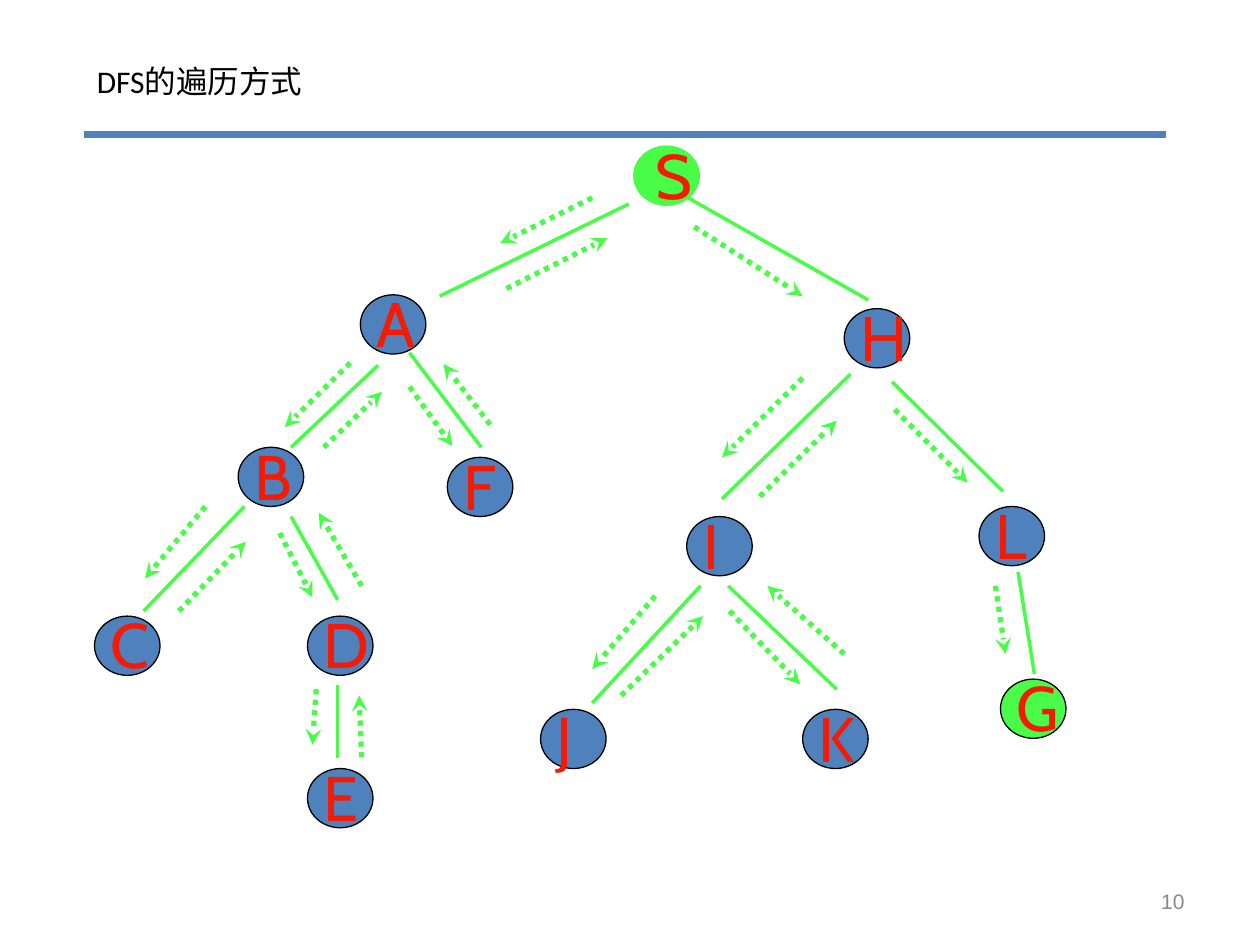
from typing import NamedTuple, Optional

from lxml import etree
from pptx import Presentation
from pptx import util as u
from pptx.dml.color import RGBColor
from pptx.enum import dml, shapes, text
from pptx.oxml import ns

# The slide is a grid of 100 columns by 75 rows
COLUMNS, ROWS = 100, 75
CELL = u.Inches(0.1)
NODE_WIDTH, NODE_HEIGHT = 5.2, 4.7
BLUE, GREEN, RED = "4F81BD", "48FC48", "F51A03"
BLACK, GREY = "000000", "898989"

Segment = tuple[float, float, float, float]  # start column, row, end column, row


class Node(NamedTuple):
    letter: str
    column: float
    row: float
    fill: str = BLUE
    outline: str = BLACK
    letter_shift: float = 1.3


class Edge(NamedTuple):
    link: Segment
    descend: Segment
    backtrack: Optional[Segment] = None


NODES = [
    Node("H", 67, 24.5), Node("A", 28.6, 23.4), Node("L", 77.7, 40.2),
    Node("I", 54.5, 41), Node("F", 35.5, 36.3), Node("B", 18.9, 35.5),
    Node("C", 7.5, 48.9), Node("D", 24.4, 48.9), Node("E", 24.4, 61),
    Node("J", 42.9, 56.3), Node("G", 79.4, 53.9, GREEN), Node("K", 63.7, 56.3),
    Node("S", 50.3, 11.6, GREEN, GREEN, 1.7),
]

EDGES = {
    "SA": Edge((49.9, 16.2, 34.9, 23.5), (47, 15.7, 39.7, 19.3), (40.2, 22.9, 48.2, 18.9)),
    "AB": Edge((30, 29, 23.1, 35.5), (27.8, 28.8, 22.6, 33.9), (25.7, 35.5, 30.3, 31.1)),
    "BC": Edge((19.4, 40.2, 11.4, 48.5), (16.3, 40.2, 11.5, 45.9), (14.2, 48.5, 19.5, 43)),
    "BD": Edge((23.1, 41, 26.8, 47.6), (22.2, 42.3, 24.8, 47.4), (28.7, 46.5, 25.3, 40.7)),
    "DE": Edge((26.8, 54.4, 26.8, 60.2), (25.1, 54.7, 24.8, 59.1), (28.7, 60.1, 28.5, 55.2)),
    "AF": Edge((32.5, 28, 38.2, 35.5), (32.5, 30.7, 35.9, 35.4), (38.9, 33.7, 35.2, 28.9)),
    "SH": Edge((54.6, 15.7, 68.9, 23.8), (55.1, 18, 63.7, 23.5)),
    "HI": Edge((67.5, 29.7, 57.3, 39.6), (63.7, 30, 57.3, 36.3), (60.3, 39.4, 66.4, 33.4)),
    "IJ": Edge((55.6, 46.5, 47, 55.8), (52, 47.3, 47, 53.1), (49.3, 55.2, 55.8, 48.9)),
    "IK": Edge((57.8, 46.5, 66.4, 54.7), (57.9, 48.5, 63.5, 54.3), (67, 51.9, 60.9, 46.5)),
    "HL": Edge((70.8, 30.3, 79.6, 39), (71, 32.5, 76.8, 38.3)),
    "LG": Edge((80.8, 45.4, 82.1, 53.5), (79, 46.5, 79.8, 51.9)),
}


def grid(*cells: float) -> list[int]:
    return [u.Emu(round(cell * CELL)) for cell in cells]


def paint(target, color: str) -> None:
    """Give a fill a solid colour."""
    target.solid()
    target.fore_color.rgb = RGBColor.from_string(color)


def add_line(slide, segment: Segment, color: str, width: float):
    line = slide.shapes.add_connector(shapes.MSO_CONNECTOR.STRAIGHT, *grid(*segment))
    paint(line.line.fill, color)
    line.line.width = u.Pt(width)
    etree.SubElement(line._element.spPr, ns.qn("a:effectLst"))
    return line


def add_walk(slide, segment: Segment) -> None:
    """Dotted arrow showing one step of the traversal."""
    arrow = add_line(slide, segment, GREEN, 3)
    arrow.line.dash_style = dml.MSO_LINE.ROUND_DOT
    outline = arrow.line._get_or_add_ln()
    etree.SubElement(outline, ns.qn("a:tailEnd"), type="stealth")


def add_label(slide, box: Segment, words: str, size: float, font: str, color: str,
              align=text.PP_ALIGN.LEFT, anchor=text.MSO_ANCHOR.MIDDLE,
              inset: tuple[float, float] = (1, 0.5)) -> None:
    frame = slide.shapes.add_textbox(*grid(*box)).text_frame
    frame.word_wrap = True
    frame.vertical_anchor = anchor
    frame.margin_left = frame.margin_right = grid(inset[0])[0]
    frame.margin_top = frame.margin_bottom = grid(inset[1])[0]
    frame.text = words
    paragraph = frame.paragraphs[0]
    paragraph.alignment = align
    run = paragraph.runs[0]
    run.font.size = u.Pt(size)
    run.font.name = font
    paint(run.font.fill, color)


def add_node(slide, node: Node) -> None:
    shape = slide.shapes.add_shape(
        shapes.MSO_SHAPE.OVAL, *grid(node.column, node.row, NODE_WIDTH, NODE_HEIGHT))
    shape.shadow.inherit = False
    paint(shape.fill, node.fill)
    paint(shape.line.fill, node.outline)
    shape.line.width = u.Pt(0.75)
    add_label(slide, (node.column + node.letter_shift, node.row - 0.8, 2, 6),
              node.letter, 36, "Cabin", RED, inset=(0, 0))


def main() -> None:
    presentation = Presentation()
    presentation.slide_width, presentation.slide_height = grid(COLUMNS, ROWS)
    slide = presentation.slides.add_slide(presentation.slide_layouts[6])

    # Title and rule
    add_line(slide, (6.7, 10.7, 92.5, 10.7), BLUE, 4)
    add_label(slide, (6.7, 4.4, 85.1, 4), "DFS的遍历方式", 18, "Calibri", BLACK,
              anchor=text.MSO_ANCHOR.TOP)

    # Tree with its traversal
    for node in NODES:
        add_node(slide, node)
    for edge in EDGES.values():
        add_line(slide, edge.link, GREEN, 2)
        add_walk(slide, edge.descend)
        if edge.backtrack:
            add_walk(slide, edge.backtrack)

    # Slide number
    add_label(slide, (71.7, 69.5, 23.3, 4), "10", 12, "Arial", GREY,
              align=text.PP_ALIGN.RIGHT)

    presentation.save("out.pptx")


if __name__ == "__main__":
    main()
